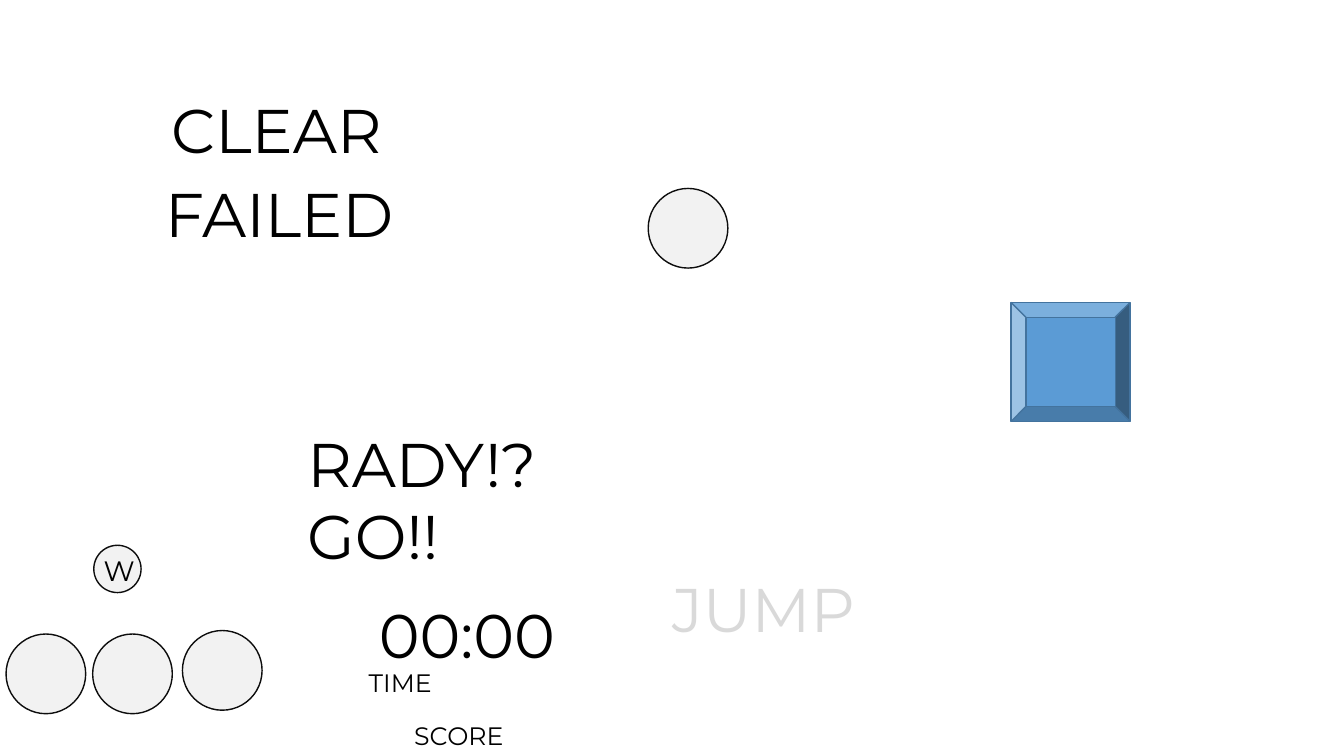
import pptx
import pptx.util
import pptx.dml.color
import pptx.enum.shapes
import pptx.enum.text
import pptx.oxml
import pptx.oxml.ns
from dataclasses import dataclass
from lxml import etree

Pt = pptx.util.Pt
Kind = pptx.enum.shapes.MSO_SHAPE


@dataclass(frozen=True)
class Theme:
    font: str = "Montserrat"
    ink: str = "000000"
    pale: str = "D9D9D9"
    disc: str = "F2F2F2"
    rim: str = "0D0D0D"
    block: str = "5B9BD5"
    edge: str = "43739E"
    clear: str = "FFFF00"
    fail: str = "FF0000"
    start: str = "D544E0"
    jump: str = "92D050"
    score: str = "FFC000"
    key: str = "1F4E79"
    big: int = 44
    mid: int = 20
    small: int = 18


theme = Theme()


def add_label(text, left, top, width, height, size, color, glow):
    """Add a one-line text box whose letters have a thin outline in glow."""
    box = slide.shapes.add_textbox(Pt(left), Pt(top), Pt(width), Pt(height))
    frame = box.text_frame
    frame.text = text
    frame.word_wrap = False
    frame.auto_size = pptx.enum.text.MSO_AUTO_SIZE.SHAPE_TO_FIT_TEXT
    font = frame.paragraphs[0].runs[0].font
    font.name = theme.font
    font.size = Pt(size)
    font.color.rgb = pptx.dml.color.RGBColor.from_string(color)
    props = frame.paragraphs[0].runs[0]._r.get_or_add_rPr()
    line = etree.Element(pptx.oxml.ns.qn("a:ln"), w=str(Pt(0.75)))
    fill = etree.SubElement(line, pptx.oxml.ns.qn("a:solidFill"))
    etree.SubElement(fill, pptx.oxml.ns.qn("a:srgbClr"), val=glow)
    props.insert(0, line)


def add_piece(kind, left, top, size, color, edge):
    piece = slide.shapes.add_shape(kind, Pt(left), Pt(top), Pt(size), Pt(size))
    piece.shadow.inherit = False
    piece.fill.solid()
    piece.fill.fore_color.rgb = pptx.dml.color.RGBColor.from_string(color)
    piece.line.color.rgb = pptx.dml.color.RGBColor.from_string(edge)
    piece.line.width = Pt(1)


deck = pptx.Presentation()
deck.slide_width, deck.slide_height = Pt(960), Pt(540)
slide = deck.slides.add_slide(deck.slide_layouts[6])

# Game messages
for text, left, top, width, color, glow in [
    ("CLEAR", 115.2, 61.9, 180, theme.ink, theme.clear),
    ("FAILED", 110.9, 122.4, 187.9, theme.ink, theme.fail),
    ("RADY!?", 212.4, 301, 193, theme.ink, theme.start),
    ("GO!!", 212.4, 352.1, 118.1, theme.ink, theme.start),
    ("JUMP", 473, 404.6, 154.8, theme.pale, theme.jump),
    ("00:00", 263.5, 422.6, 147.6, theme.ink, theme.score),
]:
    add_label(text, left, top, width, 60.5, theme.big, color, glow)

# Score board captions
for text, left, top, width in [("TIME", 256.3, 473, 64.8), ("SCORE", 288.7, 511.2, 84.2)]:
    add_label(text, left, top, width, 28.8, theme.small, theme.ink, theme.score)

# Block and buttons
add_piece(Kind.BEVEL, 722.2, 216, 85, theme.block, theme.edge)
for left, top, size in [
    (463, 134.6, 56.9),
    (67, 389.5, 33.8),
    (66.2, 452.9, 56.9),
    (130.3, 450.4, 56.9),
    (4.3, 452.9, 56.9),
]:
    add_piece(Kind.OVAL, left, top, size, theme.disc, theme.rim)
add_label("W", 67, 391.7, 34.6, 31.7, theme.mid, theme.ink, theme.key)

deck.save("out.pptx")
